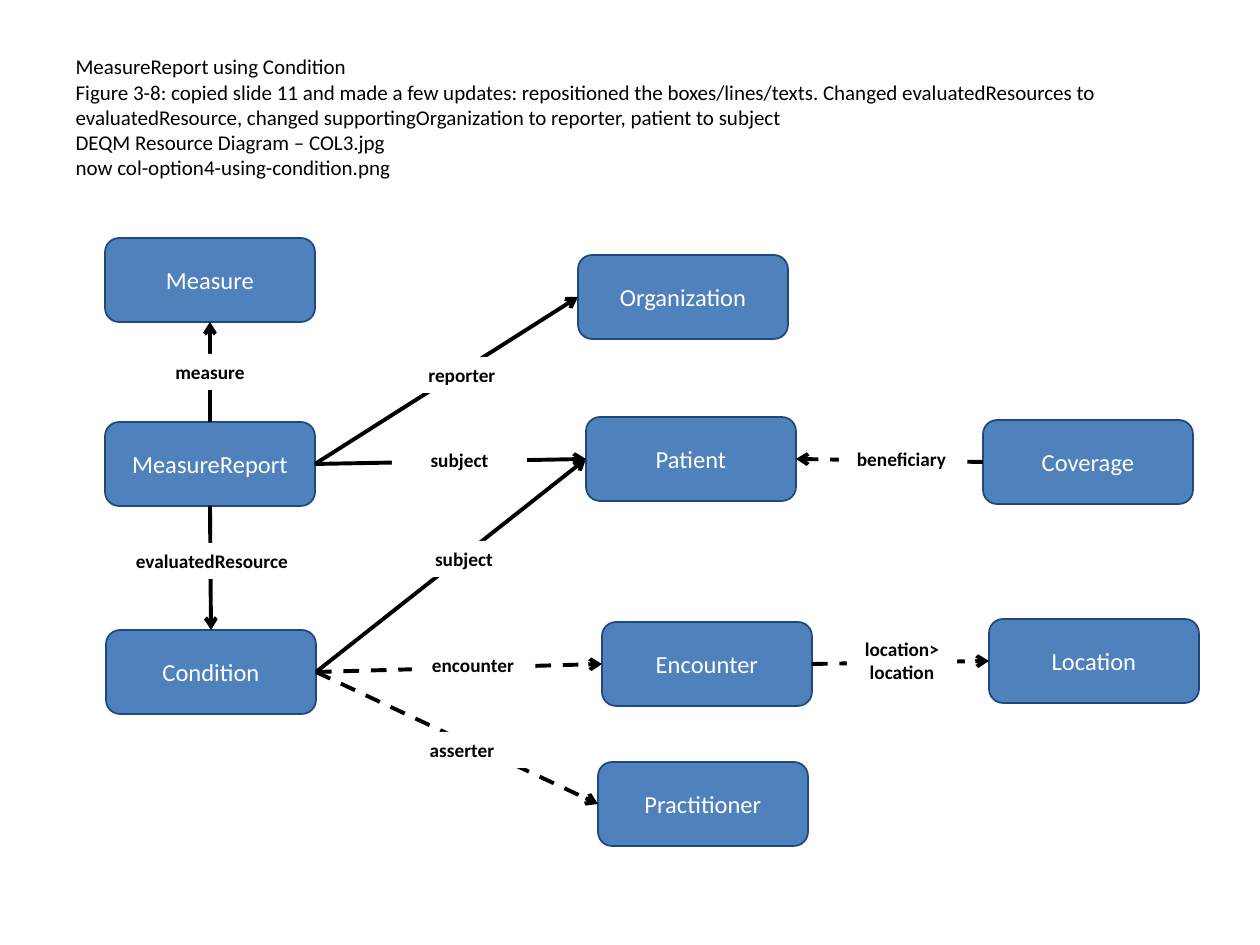
from pptx import Presentation, util as u
from pptx.dml.color import RGBColor
from pptx.enum import dml, shapes, text
from pptx.oxml.ns import qn
from lxml import etree

BLUE = RGBColor(0x4F, 0x81, 0xBD)
NAVY = RGBColor(0x1F, 0x49, 0x7D)
BLACK = RGBColor(0, 0, 0)
WHITE = RGBColor(255, 255, 255)
FONT = "Calibri"
SCALE = 914400 // 126

# Content: lengths in pixels
TITLE = "\v".join([
    "MeasureReport using Condition",
    "Figure 3-8: copied slide 11 and made a few updates: repositioned the "
    "boxes/lines/texts. Changed evaluatedResources to evaluatedResource, "
    "changed supportingOrganization to reporter, patient to subject ",
    "DEQM Resource Diagram – COL3.jpg ",
    "now col-option4-using-condition.png",
])
BOX_W, BOX_H = 210, 84
BOXES = {  # name: left, top
    "Measure": (105, 238),
    "MeasureReport": (105, 422),
    "Condition": (106, 630),
    "Organization": (578, 255),
    "Patient": (586, 417),
    "Practitioner": (598, 762),
    "Encounter": (602, 622),
    "Location": (989, 619),
    "Coverage": (983, 420),
}
TOP, LEFT, BOTTOM, RIGHT = range(4)
LINKS = [  # from, side, to, side, dashed
    ("MeasureReport", TOP, "Measure", BOTTOM, False),
    ("MeasureReport", BOTTOM, "Condition", TOP, False),
    ("MeasureReport", RIGHT, "Organization", LEFT, False),
    ("MeasureReport", RIGHT, "Patient", LEFT, False),
    ("Condition", RIGHT, "Patient", LEFT, False),
    ("Condition", RIGHT, "Encounter", LEFT, True),
    ("Condition", RIGHT, "Practitioner", LEFT, True),
    ("Encounter", RIGHT, "Location", LEFT, True),
    ("Coverage", LEFT, "Patient", RIGHT, True),
]
LABELS = [  # text, left, top, width
    ("measure", 131, 354, 158),
    ("reporter", 381, 357, 162),
    ("evaluatedResource", 99, 543, 226),
    ("subject", 392, 442, 135),
    ("subject", 385, 541, 158),
    ("asserter", 383, 732, 158),
    ("encounter", 412, 647, 122),
    ("beneficiary", 839, 441, 125),
    ("location>\nlocation", 847, 631, 110),
]
LABEL_H, LINE_H = 36, 23


def px(*vals):
    return [u.Emu(v * SCALE) for v in vals]


def write(shape, words, size, color, bold=False,
          align=text.PP_ALIGN.CENTER, anchor=text.MSO_ANCHOR.MIDDLE):
    frame = shape.text_frame
    frame.text = words
    frame.word_wrap = True
    frame.vertical_anchor = anchor
    for para in frame.paragraphs:
        para.alignment = align
        for run in para.runs:
            font = run.font
            font.name, font.size, font.bold = FONT, u.Pt(size), bold
            font.color.rgb = color


prs = Presentation()
prs.slide_width, prs.slide_height = u.Inches(10), u.Inches(7.5)
slide = prs.slides.add_slide(prs.slide_layouts[5])

# Title
title = slide.shapes.title
title.left, title.top, title.width, title.height = px(63, 38, 1134, 158)
write(title, TITLE, 12, BLACK, align=text.PP_ALIGN.LEFT)
title.text_frame.auto_size = text.MSO_AUTO_SIZE.NONE

# Resource boxes
nodes = {}
for name, (left, top) in BOXES.items():
    box = slide.shapes.add_shape(
        shapes.MSO_SHAPE.FLOWCHART_ALTERNATE_PROCESS,
        *px(left, top, BOX_W, BOX_H))
    box.shadow.inherit = False
    box.fill.solid()
    box.fill.fore_color.rgb = BLUE
    box.line.color.rgb = NAVY
    box.line.width = u.Pt(1)
    write(box, name, 14, WHITE)
    nodes[name] = box

# Arrows glued to the boxes
for start, out, end, into, dashed in LINKS:
    link = slide.shapes.add_connector(
        shapes.MSO_CONNECTOR.STRAIGHT, 0, 0, 0, 0)
    link.begin_connect(nodes[start], out)
    link.end_connect(nodes[end], into)
    link.line.color.rgb = BLACK
    link.line.width = u.Pt(2.25)
    if dashed:
        link.line.dash_style = dml.MSO_LINE.DASH
    etree.SubElement(link.line._get_or_add_ln(), qn("a:tailEnd"), type="arrow")
    etree.SubElement(link._element.spPr, qn("a:effectLst"))

# Labels that mask the arrows
for words, left, top, width in LABELS:
    high = LABEL_H + LINE_H * words.count("\n")
    label = slide.shapes.add_textbox(*px(left, top, width, high))
    label.fill.solid()
    label.fill.fore_color.rgb = WHITE
    write(label, words, 11, BLACK, bold=True, anchor=text.MSO_ANCHOR.TOP)
    label.text_frame.auto_size = text.MSO_AUTO_SIZE.SHAPE_TO_FIT_TEXT

prs.save("out.pptx")
